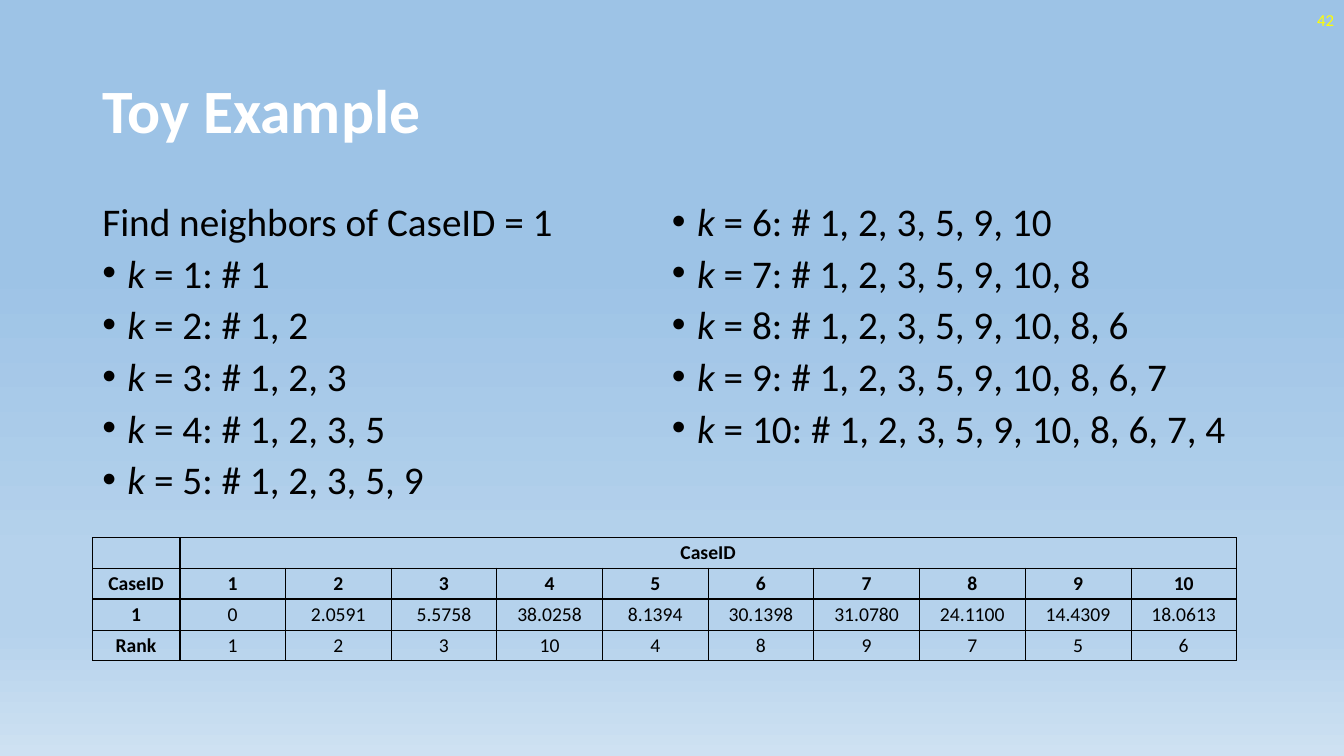
from lxml import etree
from pptx import Presentation
from pptx import util as u
from pptx.dml import color
from pptx.enum import text
from pptx.oxml import ns

COLORS = {"ink": "000000", "title": "FFFFFF", "number": "FFFF00"}
SKY = [(35, "9DC3E6"), (74, "B5D2EC"), (83, "B5D2EC"), (100, "CEE1F2")]
DISTANCES = ["0", "2.0591", "5.5758", "38.0258", "8.1394",
             "30.1398", "31.0780", "24.1100", "14.4309", "18.0613"]


class Deck:
    """Holds the style and the current slide, and adds each kind of element."""

    def __init__(self, font="Calibri"):
        self.font = font
        self.prs = Presentation()
        self.prs.slide_width, self.prs.slide_height = u.Pt(960), u.Pt(540)
        self.s = self.prs.slides.add_slide(self.prs.slide_layouts[6])

    def background(self, stops):
        fill = self.s.background.fill
        fill.gradient()
        fill.gradient_angle = 270
        gs_list = self.s._element.find(".//" + ns.qn("a:gsLst"))
        for gs in list(gs_list):
            gs_list.remove(gs)
        for pos, rgb in stops:
            gs = etree.SubElement(gs_list, ns.qn("a:gs"), pos=str(pos * 1000))
            etree.SubElement(gs, ns.qn("a:srgbClr"), val=rgb)

    def add_text(self, p, words, size=28, ink="ink", bold=False, italic=False):
        r = p.add_run()
        r.text = words
        f = r.font
        f.name, f.size, f.bold, f.italic = self.font, u.Pt(size), bold, italic
        f.color.rgb = color.RGBColor.from_string(COLORS[ink])

    def box(self, x, y, w, h, anchor=text.MSO_ANCHOR.MIDDLE):
        tf = self.s.shapes.add_textbox(*map(u.Pt, (x, y, w, h))).text_frame
        tf.word_wrap = True
        tf.vertical_anchor = anchor
        return tf

    def label(self, words, x, y, w, h, align=text.PP_ALIGN.LEFT, spacing=1.0, **fmt):
        p = self.box(x, y, w, h).paragraphs[0]
        p.alignment, p.line_spacing = align, spacing
        self.add_text(p, words, **fmt)

    def neighbor_list(self, heading, items, x, y, w, h):
        tf = self.box(x, y, w, h, text.MSO_ANCHOR.TOP)
        tf._txBody.bodyPr.set("numCol", "2")
        p = tf.paragraphs[0]
        p.line_spacing = 0.8
        self.add_text(p, heading)
        for item in items:
            p = tf.add_paragraph()
            p.line_spacing, p.space_before = 0.8, u.Pt(10)
            pPr = p._p.get_or_add_pPr()
            pPr.set("marL", str(u.Pt(18)))
            pPr.set("indent", str(-u.Pt(18)))
            etree.SubElement(pPr, ns.qn("a:buFont"), typeface="Arial")
            etree.SubElement(pPr, ns.qn("a:buChar"), char="•")
            self.add_text(p, "k", italic=True)
            self.add_text(p, item)

    def borders(self, cell, **widths):
        tcPr = cell._tc.get_or_add_tcPr()
        for side in "LRTB":
            ln = etree.SubElement(tcPr, ns.qn("a:ln" + side), w=str(u.Pt(widths[side])))
            fill = etree.SubElement(ln, ns.qn("a:solidFill"))
            etree.SubElement(fill, ns.qn("a:srgbClr"), val=COLORS["ink"])

    def table(self, rows, x, y, widths, heights):
        frame = self.s.shapes.add_table(len(rows), len(widths), u.Pt(x), u.Pt(y),
                                        u.Pt(sum(widths)), u.Pt(sum(heights)))
        t = frame.table
        t.first_row = t.horz_banding = False
        for col, width in zip(t.columns, widths):
            col.width = u.Pt(width)
        for row, height in zip(t.rows, heights):
            row.height = u.Pt(height)
        for i, row in enumerate(rows):
            for j, words in enumerate(row):
                cell = t.cell(i, j)
                cell.margin_left = cell.margin_right = cell.margin_top = u.Pt(0.7)
                cell.margin_bottom = 0
                cell.vertical_anchor = text.MSO_ANCHOR.MIDDLE
                self.borders(cell, L=2 if j == 1 else 0.5, R=2 if j == 0 else 0.5,
                             T=2 if i == 2 else 0.5, B=2 if i == 1 else 0.5)
                cell.fill.background()
                p = cell.text_frame.paragraphs[0]
                p.alignment = text.PP_ALIGN.CENTER
                if words:
                    self.add_text(p, words, size=14, bold=i < 2 or j == 0)
                else:
                    p._p.get_or_add_endParaRPr().set("sz", "1400")
        t.cell(0, 1).merge(t.cell(0, len(widths) - 1))


def main():
    cases = range(1, len(DISTANCES) + 1)
    nearest = sorted(cases, key=lambda case: float(DISTANCES[case - 1]))
    items = [f" = {k}: # " + ", ".join(map(str, nearest[:k])) for k in cases]
    rows = [["", "CaseID"] + [""] * 9,
            ["CaseID"] + [str(case) for case in cases],
            ["1"] + DISTANCES,
            ["Rank"] + [str(nearest.index(case) + 1) for case in cases]]

    deck = Deck()
    deck.background(SKY)
    deck.neighbor_list("Find neighbors of CaseID = 1", items, 66, 144, 828, 230.4)
    deck.label("Toy Example", 66, 28.8, 828, 104.4, spacing=0.9,
               size=44, ink="title", bold=True)
    deck.label("42", 744, 0, 216, 28.8, align=text.PP_ALIGN.RIGHT, size=12, ink="number")
    deck.table(rows, 66, 384, [62.4] + [75.5] * 10, [21.6, 22.3, 22.3, 21.6])
    deck.prs.save("out.pptx")


if __name__ == "__main__":
    main()
